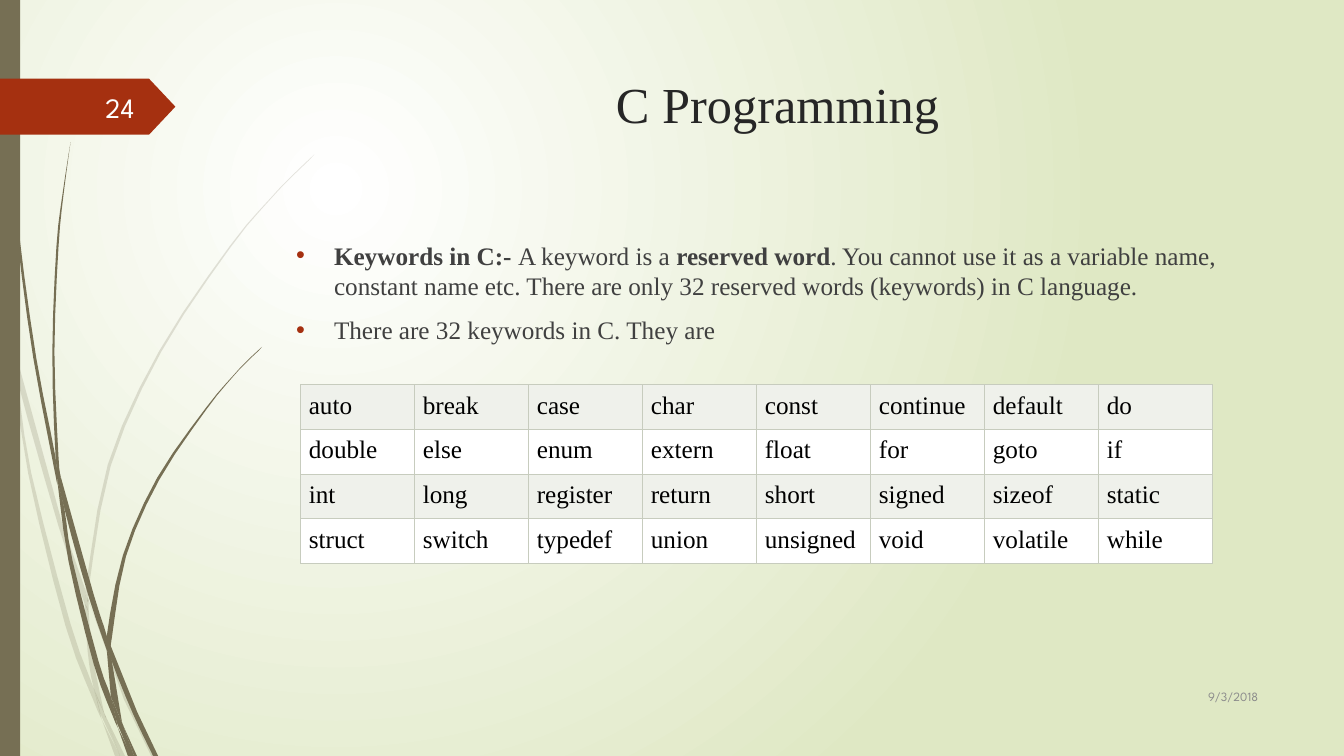
import pptx
import pptx.util
import pptx.dml.color
import pptx.enum.shapes
import pptx.enum.text
import pptx.oxml
import pptx.oxml.ns
from lxml import etree

Pt = pptx.util.Pt
SHAPES = pptx.enum.shapes.MSO_SHAPE
ALIGN = pptx.enum.text.PP_ALIGN
ANCHOR = pptx.enum.text.MSO_ANCHOR
SERIF, SANS = "Times New Roman", "League Spartan"
COLORS = {
    "center": "FFFFFF", "edge": "DFE8C4", "stem": "766F54", "tag": "A53010",
    "title": "262626", "body": "404040", "date": "8C8C8C", "number": "FEFFFF",
    "cell": "000000", "odd": "EFF1EB", "even": "FFFFFF", "border": "C7CCBE",
}
TITLE = "C Programming"
BULLETS = [
    [("Keywords in C:- ", True), ("A keyword is a\u00a0", False), ("reserved word", True),
     (". You cannot use it as a variable name, constant name etc. "
      "There are only 32 reserved words (keywords) in C language.", False)],
    [("There are 32 keywords in C. They are", False)],
]
KEYWORDS = [
    ["auto", "break", "case", "char", "const", "continue", "default", "do"],
    ["double", "else", "enum", "extern", "float", "for", "goto", "if"],
    ["int", "long", "register", "return", "short", "signed", "sizeof", "static"],
    ["struct", "switch", "typedef", "union", "unsigned", "void", "volatile", "while"],
]
DATE, NUMBER = "9/3/2018", "24"
PALE_BLADES = [
    ([(0, 203), (6.5, 231.8), (7.9, 252)], [(0, 215.3), (7.2, 247.7), (7.9, 252)]),
    ([(10.1, 248.4), (44.6, 374.4), (61.2, 421.9)],
     [(10.1, 248.4), (12.2, 270.7), (41.8, 375.8), (60.5, 431.3)]),
    ([(63.4, 429.1), (66.2, 437), (91.4, 498.2), (111.6, 540)],
     [(63.4, 439.2), (88.6, 499.7), (108, 540)]),
    ([(75.6, 511.9), (89.3, 540)], [(75.6, 511.9), (85.7, 540)]),
    ([(7.9, 252), (12.2, 270.7), (22.3, 337.7), (50.4, 445.7), (67, 491.8), (72.7, 514.1)],
     [(7.9, 252), (20.2, 338.4), (46.8, 447.1), (66.2, 499), (72.7, 514.1)]),
    ([(60.5, 431.3), (63.4, 437.8), (65.5, 465.1), (74.2, 508.3), (75.6, 511.9)],
     [(60.5, 431.3), (62.6, 465.1), (67, 491.8), (75.6, 511.9)]),
    ([(224.6, 110.2), (208.1, 126), (193, 141.8), (164.2, 175.7), (113.8, 250.6),
      (77, 331.9), (61.2, 420.5)],
     [(224.6, 110.9), (208.8, 126), (193, 142.6), (164.9, 176.4), (115.2, 251.3),
      (79.2, 332.6), (63.4, 420.5), (63.4, 429.1)]),
    ([(72.7, 514.1), (85.7, 540)], [(72.7, 514.1), (82.1, 540)]),
    ([(61.2, 421.9), (63.4, 429.1), (63.4, 439.2)], [(61.2, 421.9), (60.5, 431.3), (63.4, 437.8)]),
    ([(67, 491.8), (75.6, 511.9), (85.7, 540)], [(67, 491.8), (71.3, 509), (85.7, 540)]),
]
DARK_BLADES = [
    ([(2.2, 0), (2.9, 34.6), (5, 79.2), (12.2, 167.8), (23.8, 255.6), (41, 346.3)],
     [(2.9, 0), (3.6, 34.6), (5.8, 78.5), (13.7, 167), (25.9, 255.6), (39.6, 326.2),
      (41, 346.3)]),
    ([(43.2, 339.8), (67, 424.8), (76.3, 454.3), (76.3, 464.4)],
     [(43.2, 339.8), (46.1, 363.6), (63.4, 426.2), (76.3, 464.4)]),
    ([(79.2, 461.5), (97.9, 508.3), (113, 540)],
     [(79.2, 461.5), (79.9, 472.3), (95, 509.8), (109.4, 540)]),
    ([(41, 343.4), (46.1, 363.6), (51.8, 400.3), (70.6, 473), (79.2, 497.5), (84.2, 519.8)],
     [(41, 343.4), (49, 401), (67, 474.5), (79.9, 509.8), (84.2, 519.8)]),
    ([(50.4, 101.5), (44.6, 139), (40.3, 176.4), (37.4, 251.3), (39.6, 323.3), (43.2, 339.8)],
     [(50.4, 101.5), (45.4, 139), (41.8, 176.4), (38.9, 251.3), (41.8, 326.2),
      (43.2, 339.8)]),
    ([(87.8, 517.7), (97.9, 540)], [(87.8, 517.7), (95.8, 540)]),
    ([(39.6, 323.3), (43.2, 339.8), (46.1, 363.6)], [(39.6, 323.3), (41, 343.4), (46.1, 363.6)]),
    ([(187.2, 247.7), (176.4, 257.8), (166.3, 268.6), (146.9, 291.6), (112.3, 341.3),
      (87.8, 396.7), (76.3, 454.3), (79.2, 461.5)],
     [(187.9, 247.7), (176.4, 258.5), (166.3, 269.3), (147.6, 292.3), (113.8, 342.7),
      (90, 397.4), (79.9, 455.8), (79.2, 461.5)]),
    ([(84.2, 519.8), (94.3, 540)], [(84.2, 519.8), (91.4, 540)]),
    ([(76.3, 464.4), (78.5, 468.7), (79.9, 472.3), (87.1, 515.5), (87.8, 517.7)],
     [(76.3, 464.4), (79.2, 497.5), (87.8, 517.7)]),
    ([(76.3, 454.3), (79.2, 461.5), (79.9, 472.3)], [(76.3, 454.3), (76.3, 464.4), (79.9, 472.3)]),
    ([(79.2, 497.5), (87.8, 517.7), (95.8, 540)],
     [(79.2, 497.5), (83.5, 516.2), (93.6, 540)]),
]


def rgb(name):
    return pptx.dml.color.RGBColor.from_string(COLORS[name])


def a_xml(body):
    return pptx.oxml.parse_xml(body.replace(">", f" {pptx.oxml.ns.nsdecls('a')}>", 1))


def fill_plain(sp, name):
    sp.fill.solid()
    sp.fill.fore_color.rgb = rgb(name)
    sp.line.fill.background()
    sp.shadow.inherit = False


def smooth(knots, steps=3):
    if len(knots) < 4:
        return knots
    ends = [knots[0]] + knots + [knots[-1]]
    points = [knots[0]]
    for a, b, c, d in zip(ends, ends[1:], ends[2:], ends[3:]):
        for i in range(1, steps + 1):
            t = i / steps
            points.append(tuple(
                q + t / 2 * (r - p + t * (2 * p - 5 * q + 4 * r - u + t * (3 * (q - r) + u - p)))
                for p, q, r, u in zip(a, b, c, d)))
    return points


def add_blade(s, left, right, opacity):
    outline = [(Pt(x), Pt(y)) for x, y in smooth(left) + smooth(right)[:0:-1]]
    builder = s.shapes.build_freeform(*outline[0])
    builder.add_line_segments(outline[1:], close=True)
    sp = builder.convert_to_shape()
    fill_plain(sp, "stem")
    if opacity < 100:
        color = sp.fill._xPr.find(".//" + pptx.oxml.ns.qn("a:srgbClr"))
        etree.SubElement(color, pptx.oxml.ns.qn("a:alpha"), val=str(opacity * 1000))


def style(p, font, size, color, align=None):
    p.font.name, p.font.size = font, Pt(size)
    p.font.color.rgb = rgb(color)
    p.alignment = align


def add_text(s, box, text, font, size, color, align, anchor):
    tf = s.shapes.add_textbox(*map(Pt, box)).text_frame
    tf.word_wrap = True
    tf.vertical_anchor = anchor
    tf.text = text
    style(tf.paragraphs[0], font, size, color, align)


def add_bullets(s):
    tf = s.shapes.add_textbox(Pt(204.5), Pt(167.8), Pt(702), Pt(297.4)).text_frame
    tf.word_wrap = True
    for i, runs in enumerate(BULLETS):
        p = tf.add_paragraph() if i else tf.paragraphs[0]
        style(p, SERIF, 18, "body")
        p.space_before = Pt(10)
        for text, bold in runs:
            r = p.add_run()
            r.text, r.font.bold = text, bold
        pPr = p._p.get_or_add_pPr()
        pPr.set("marL", str(Pt(27)))
        pPr.set("indent", str(-Pt(27)))
        bullet = [a_xml(f'<a:buClr><a:srgbClr val="{COLORS["tag"]}"/></a:buClr>'),
                  a_xml('<a:buFont typeface="Arial"></a:buFont>'),
                  a_xml('<a:buChar char="•"></a:buChar>')]
        at = list(pPr).index(pPr.find(pptx.oxml.ns.qn("a:defRPr")))
        pPr[at:at] = bullet


def add_keywords(s):
    rows, cols = len(KEYWORDS), len(KEYWORDS[0])
    frame = s.shapes.add_table(rows, cols, Pt(214.6), Pt(274.7), Pt(81.45 * cols), Pt(32 * rows))
    for row in frame.table.rows:
        row.height = Pt(32)
    for col in frame.table.columns:
        col.width = Pt(81.45)
    for i, words in enumerate(KEYWORDS):
        for j, word in enumerate(words):
            cell = frame.table.cell(i, j)
            cell.text = word
            style(cell.text_frame.paragraphs[0], SERIF, 18, "cell")
            cell.margin_left = cell.margin_right = Pt(6)
            cell.margin_top = cell.margin_bottom = Pt(5)
            cell.fill.solid()
            cell.fill.fore_color.rgb = rgb("even" if i % 2 else "odd")
            tcPr = cell._tc.get_or_add_tcPr()
            for k, side in enumerate("LRTB"):
                tcPr.insert(k, a_xml(
                    f'<a:ln{side} w="{Pt(0.75)}"><a:solidFill>'
                    f'<a:srgbClr val="{COLORS["border"]}"/></a:solidFill></a:ln{side}>'))


def main():
    prs = pptx.Presentation()
    prs.slide_width, prs.slide_height = Pt(960), Pt(540)
    s = prs.slides.add_slide(prs.slide_layouts[6])
    s.background.fill.gradient()
    grad = s.background.fill._xPr.find(pptx.oxml.ns.qn("a:gradFill"))
    for child in list(grad):
        grad.remove(child)
    stops = "".join(f'<a:gs pos="{pos}"><a:srgbClr val="{COLORS[name]}"/></a:gs>'
                    for pos, name in ((0, "center"), (100000, "edge")))
    grad.append(a_xml(f"<a:gsLst>{stops}</a:gsLst>"))
    grad.append(a_xml('<a:path path="circle"><a:fillToRect l="50000" t="50000" '
                      'r="100000" b="100000"/></a:path>'))
    for blades, opacity in ((PALE_BLADES, 20), (DARK_BLADES, 100)):
        for left, right in blades:
            add_blade(s, left, right, opacity)
    bar = s.shapes.add_shape(SHAPES.RECTANGLE, 0, 0, Pt(14.4), Pt(540))
    fill_plain(bar, "stem")
    tag = s.shapes.add_shape(SHAPES.PENTAGON, 0, Pt(56.2), Pt(125.3), Pt(40))
    tag.adjustments[0] = 0.47
    fill_plain(tag, "tag")
    add_text(s, (204.5, 49, 702, 100.8), TITLE, SERIF, 36, "title", ALIGN.CENTER, ANCHOR.TOP)
    add_bullets(s)
    add_text(s, (815.8, 482.4, 90, 29.5), DATE, SANS, 9, "date", ALIGN.RIGHT, ANCHOR.MIDDLE)
    add_text(s, (41.8, 61.9, 61.2, 28.8), NUMBER, SANS, 20, "number", ALIGN.RIGHT, ANCHOR.MIDDLE)
    add_keywords(s)
    prs.save("out.pptx")


if __name__ == "__main__":
    main()
